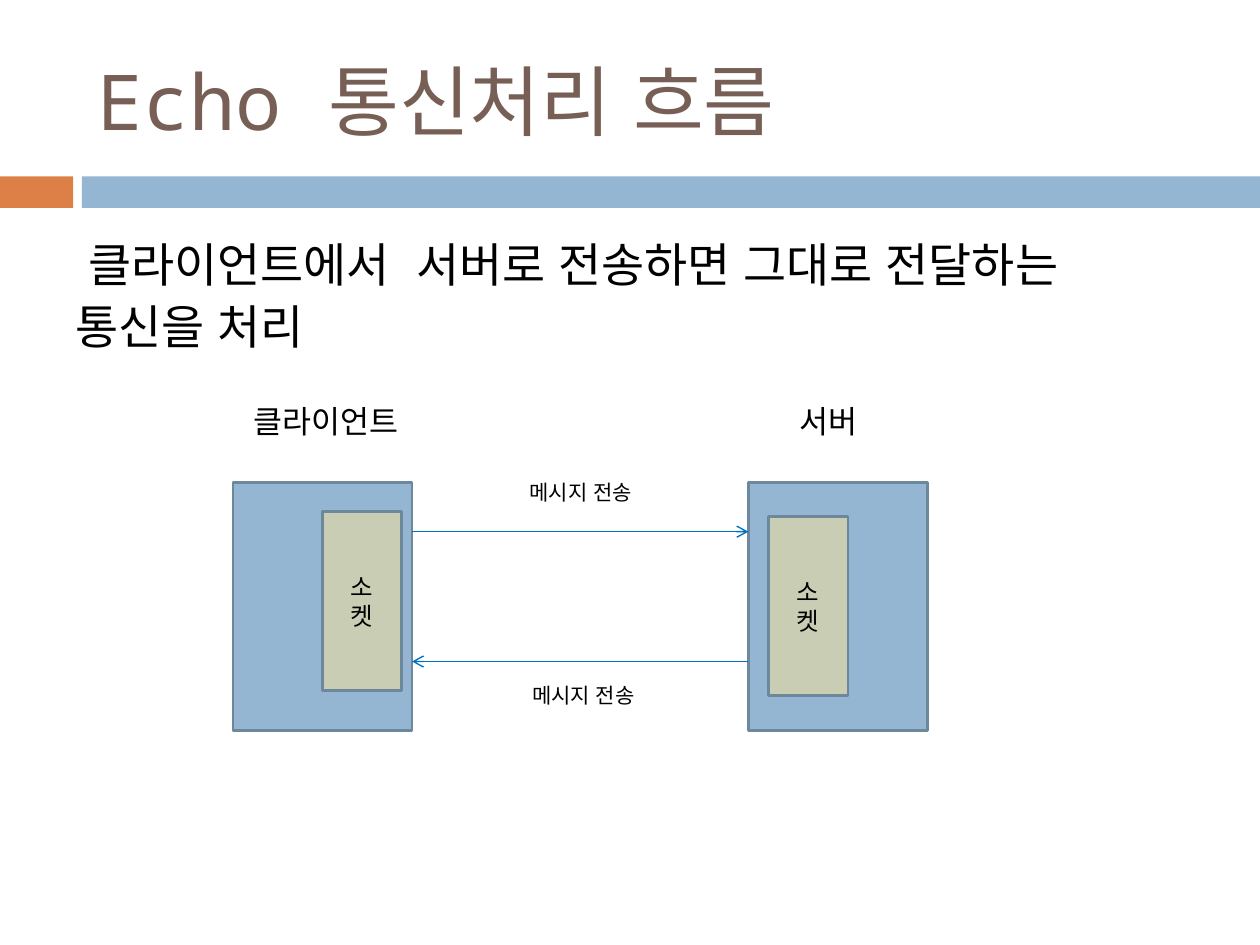
import pptx
from pptx.dml.color import RGBColor
from pptx.enum.lang import MSO_LANGUAGE_ID
from pptx.enum.shapes import MSO_CONNECTOR, MSO_SHAPE
from pptx.enum.text import MSO_ANCHOR, MSO_AUTO_SIZE, PP_ALIGN
from pptx.oxml.ns import qn
from pptx.util import Inches, Pt
from lxml import etree

COLORS = {"orange": "DD8047", "blue": "94B6D2", "edge": "6D879B", "socket": "C9CDB3",
          "arrow": "0070C0", "title": "775F55", "text": "000000"}


def write(sp, lines, size, color="text", align=PP_ALIGN.CENTER, anchor=MSO_ANCHOR.TOP):
    tf = sp.text_frame
    frame_format = {"text": "\n".join(lines), "word_wrap": True,
                    "auto_size": MSO_AUTO_SIZE.NONE, "vertical_anchor": anchor}
    for name, value in frame_format.items():
        setattr(tf, name, value)
    font_format = {"name": "Noto Sans Mono", "size": Pt(size), "bold": False,
                   "language_id": MSO_LANGUAGE_ID.KOREAN}
    for p in tf.paragraphs:
        p.alignment = align
        for r in p.runs:
            for name, value in font_format.items():
                setattr(r.font, name, value)
            r.font.color.rgb = RGBColor.from_string(COLORS[color])


def add_rect(box, fill, edge=None):
    sp = s.shapes.add_shape(MSO_SHAPE.RECTANGLE, *map(Inches, box))
    sp.shadow.inherit = False
    sp.fill.solid()
    sp.fill.fore_color.rgb = RGBColor.from_string(COLORS[fill])
    if edge:
        sp.line.color.rgb = RGBColor.from_string(COLORS[edge])
        sp.line.width = Pt(1.5)
    else:
        sp.line.fill.background()
    return sp


prs = pptx.Presentation()
prs.slide_width, prs.slide_height = Inches(10), Inches(7.5)
s = prs.slides.add_slide(prs.slide_layouts[5])

# Title and the band below it
title = s.shapes.title
title.left, title.top, title.width, title.height = map(Inches, (0.67, 0.25, 8.92, 1.08))
write(title, ["Echo 통신처리 흐름"], 44, "title", PP_ALIGN.LEFT, MSO_ANCHOR.MIDDLE)
add_rect((0, 1.4, 0.58, 0.25), "orange")
add_rect((0.65, 1.4, 9.35, 0.25), "blue")

# Client and server, each with its socket
for x in (1.85, 5.94):
    add_rect((x, 3.83, 1.42, 1.97), "blue", "edge")
for x, y in ((2.56, 4.06), (6.1, 4.1)):
    socket = add_rect((x, y, 0.63, 1.42), "socket", "edge")
    write(socket, ["소", "켓"], 14, anchor=MSO_ANCHOR.MIDDLE)

# Messages there and back
for x1, x2, y in ((3.27, 5.94, 4.22), (5.94, 3.27, 5.25)):
    line = s.shapes.add_connector(MSO_CONNECTOR.STRAIGHT, Inches(x1), Inches(y),
                                  Inches(x2), Inches(y))
    line.line.color.rgb = RGBColor.from_string(COLORS["arrow"])
    line.line.width = Pt(0.79)
    etree.SubElement(line.line._get_or_add_ln(), qn("a:tailEnd"), type="arrow")
    etree.SubElement(line._element.spPr, qn("a:effectLst"))

# Labels
for text, size, box in (("클라이언트", 18, (1.72, 3.14, 1.73, 0.4)),
                        ("서버", 18, (5.71, 3.14, 1.73, 0.4)),
                        ("메시지 전송", 12, (3.9, 3.76, 1.42, 0.3)),
                        ("메시지 전송", 12, (3.92, 5.37, 1.42, 0.3))):
    write(s.shapes.add_textbox(*map(Inches, box)), [text], size)

# Description
body = s.shapes.add_textbox(*map(Inches, (0.5, 1.78, 9, 1.1)))
write(body, [" 클라이언트에서  서버로 전송하면 그대로 전달하는 통신을 처리"], 26.8,
      align=PP_ALIGN.LEFT)
p = body.text_frame.paragraphs[0]
p.line_spacing, p.space_before = 1.1, Pt(7)

prs.save("out.pptx")
